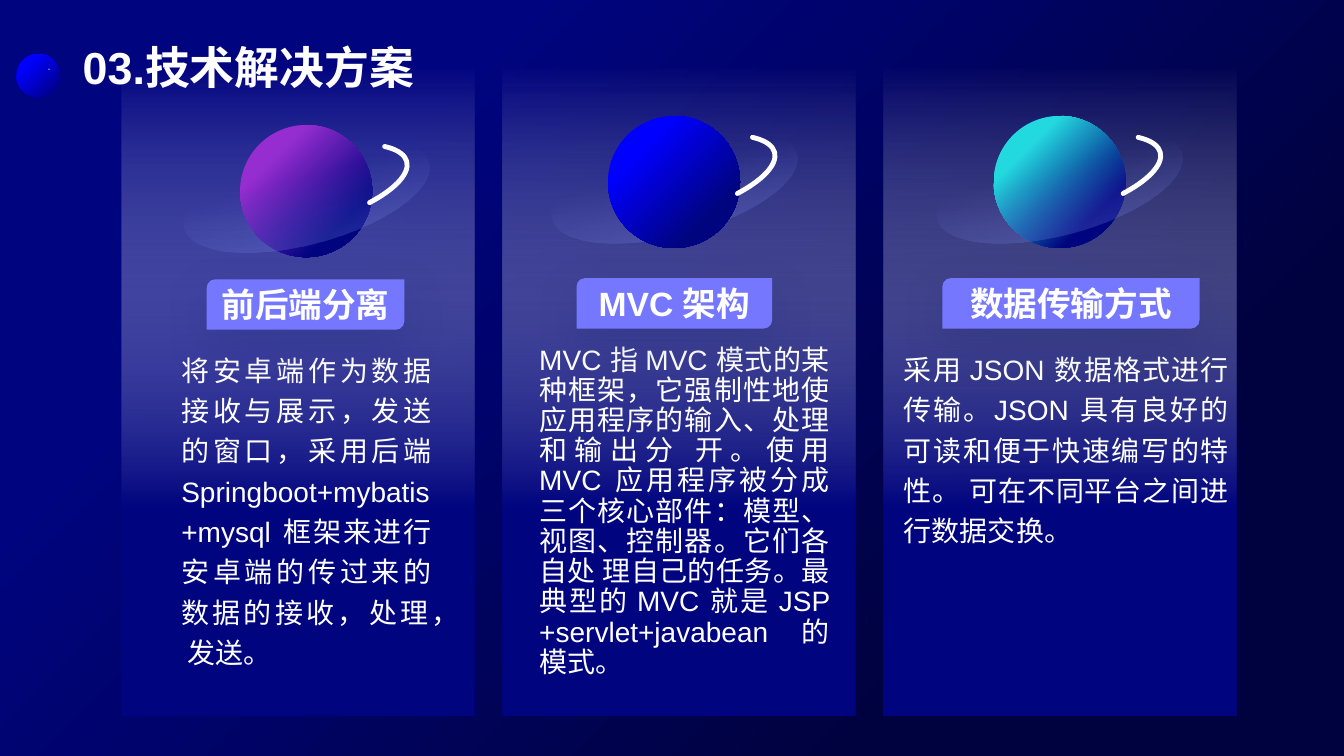
from dataclasses import dataclass

from lxml.etree import SubElement
from pptx import Presentation
from pptx.dml.color import RGBColor
from pptx.enum.shapes import MSO_SHAPE as Preset
from pptx.enum.text import MSO_ANCHOR as Anchor, PP_ALIGN as Align
from pptx.oxml.ns import qn
from pptx.util import Cm, Pt

WHITE = RGBColor(0xFF, 0xFF, 0xFF)
NAVY = RGBColor(0x00, 0x04, 0x7F)
MIDNIGHT = RGBColor(0x00, 0x02, 0x40)
BLUE = RGBColor(0x00, 0x00, 0xFF)
DEEP_BLUE = RGBColor(0x00, 0x00, 0x80)
PURPLE = RGBColor(0x95, 0x2D, 0xD0)
CYAN = RGBColor(0x23, 0xD9, 0xE0)
RING = RGBColor(0x76, 0x87, 0xE8)
STAR = RGBColor(0xD1, 0xD7, 0xF7)
TAG = RGBColor(0x75, 0x78, 0xFF)
SHADOW = RGBColor(0x11, 0x1E, 0x68)
FONT = "Arial"
PANEL_LEFT, PANEL_PITCH = 3.07, 9.6
TILT = 345.1


@dataclass
class Topic:
    heading: str
    body: str
    color: RGBColor
    planet: tuple
    tag: tuple
    text_box: tuple
    line_spacing: float = 1.2
    ring_in_front: bool = True


TOPICS = [
    Topic("前后端分离",
          "将安卓端作为数据接收与展示，发送的窗口，采用后端 Springboot+mybatis+mysql "
          "框架来进行安卓端的传过来的数据的接收，处理， 发送。",
          PURPLE, (6.05, 3.15), (5.21, 7.04, 4.98, 1.27), (4.32, 8.61, 6.81, 8.46)),
    Topic("MVC 架构",
          "MVC 指 MVC 模式的某种框架，它强制性地使应用程序的输入、处理和输出分 开。"
          "使用 MVC 应用程序被分成三个核心部件：模型、视图、控制器。它们各自处 理自己的任务。"
          "最典型的 MVC 就是 JSP +servlet+javabean 的模式。",
          BLUE, (15.32, 2.92), (14.53, 7.01, 4.93, 1.27), (13.34, 8.59, 7.82, 8.71),
          line_spacing=0.9, ring_in_front=False),
    Topic("数据传输方式",
          "采用 JSON 数据格式进行传输。JSON 具有良好的可读和便于快速编写的特性。 "
          "可在不同平台之间进行数据交换。",
          CYAN, (25.04, 2.92), (23.75, 7.01, 6.48, 1.27), (22.53, 8.59, 8.69, 5.38)),
]


def set_gradient(fill, stops, angle):
    """Fill with two (position, colour, opacity) stops at a clockwise angle."""
    fill.gradient()
    fill.gradient_angle = 360 - angle
    for stop, (position, color, opacity) in zip(fill.gradient_stops, stops):
        stop.position = position
        stop.color.rgb = color
    elements = fill._fill._gradFill.iter(qn("a:srgbClr"))
    for element, (_, _, opacity) in zip(elements, stops):
        if opacity < 100:
            SubElement(element, qn("a:alpha"), val=str(opacity * 1000))


def add_preset(slide, preset, left, top, width, height):
    """Add a plain shape without line or shadow."""
    shape = slide.shapes.add_shape(preset, Cm(left), Cm(top), Cm(width), Cm(height))
    shape.shadow.inherit = False
    shape.line.fill.background()
    return shape


def format_text(paragraph, size, bold=False):
    """Give the runs of a paragraph the slide's font."""
    for run in paragraph.runs:
        run.font.name = FONT
        run.font.size = Pt(size)
        run.font.bold = bold
        run.font.color.rgb = WHITE


def add_title(slide, text):
    """Place and format the title beside its small planet."""
    title = slide.shapes.title
    title.left, title.top, title.width, title.height = Cm(1.83), Cm(0.97), Cm(14.96), Cm(1.52)
    title.text_frame.text = text
    title.text_frame.vertical_anchor = Anchor.BOTTOM
    paragraph = title.text_frame.paragraphs[0]
    paragraph.alignment = Align.LEFT
    paragraph.line_spacing = 0.9
    format_text(paragraph, 32, bold=True)
    bullet = add_preset(slide, Preset.OVAL, 0.41, 1.35, 1.1, 1.1)
    set_gradient(bullet.fill, [(0.25, BLUE, 100), (0.95, DEEP_BLUE, 100)], 45)
    star = add_preset(slide, Preset.OVAL, 1.22, 1.73, 0.03, 0.03)
    star.fill.solid()
    star.fill.fore_color.rgb = STAR


def add_panel(slide, left):
    """Add a column panel that glows in its upper half."""
    panel = add_preset(slide, Preset.RECTANGLE, left, 1.7, 8.89, 16.33)
    set_gradient(panel.fill, [(0, WHITE, 0), (0.68, NAVY, 100)], 90)


def add_globe(slide, left, top, color):
    """Add the round body of a planet."""
    globe = add_preset(slide, Preset.OVAL, left, top, 3.33, 3.33)
    set_gradient(globe.fill, [(0.25, color, 100), (0.76, NAVY, 100)], 45)


def add_ring(slide, left, top):
    """Add the tilted translucent ring of the planet at this place."""
    ring = add_preset(slide, Preset.OVAL, left - 1.52, top + 0.56, 6.38, 2.44)
    ring.rotation = TILT
    set_gradient(ring.fill, [(0.42, RING, 0), (1, RING, 50)], 90)


def add_orbit(slide, left, top):
    """Add the bright arc of the planet at this place."""
    arc = add_preset(slide, Preset.ARC, left - 0.97, top + 0.68, 5.26, 1.83)
    arc.rotation = TILT
    arc.adjustments[0], arc.adjustments[1] = 208.17, 16.55
    arc.fill.background()
    arc.line.color.rgb = WHITE
    arc.line.width = Pt(3.5)
    arc.line._ln.set("cap", "rnd")


def add_planet(slide, topic):
    """Add a planet with its ring and orbit."""
    if not topic.ring_in_front:
        add_ring(slide, *topic.planet)
    add_globe(slide, *topic.planet, topic.color)
    if topic.ring_in_front:
        add_ring(slide, *topic.planet)
    add_orbit(slide, *topic.planet)


def add_tag(slide, topic):
    """Add the heading tag with its soft shadow."""
    tag = add_preset(slide, Preset.ROUND_2_DIAG_RECTANGLE, *topic.tag)
    tag.fill.solid()
    tag.fill.fore_color.rgb = TAG
    effects = tag._element.spPr.find(qn("a:effectLst"))
    shadow = SubElement(effects, qn("a:outerShdw"), blurRad=str(Pt(32)), dist=str(Pt(11)),
                        dir="5400000", algn="t", rotWithShape="0")
    color = SubElement(shadow, qn("a:srgbClr"), val=str(SHADOW))
    SubElement(color, qn("a:alpha"), val="17000")
    tag.text_frame.text = topic.heading
    tag.text_frame.vertical_anchor = Anchor.MIDDLE
    paragraph = tag.text_frame.paragraphs[0]
    paragraph.alignment = Align.CENTER
    format_text(paragraph, 24, bold=True)


def add_body(slide, topic):
    """Add the justified description of a topic."""
    box = slide.shapes.add_textbox(*map(Cm, topic.text_box))
    box.text_frame.word_wrap = True
    box.text_frame.text = topic.body
    paragraph = box.text_frame.paragraphs[0]
    paragraph.alignment = Align.JUSTIFY
    paragraph.line_spacing = topic.line_spacing
    format_text(paragraph, 20)


def main():
    """Build the slide and save it."""
    presentation = Presentation()
    presentation.slide_width, presentation.slide_height = Cm(33.87), Cm(19.05)
    slide = presentation.slides.add_slide(presentation.slide_layouts[5])
    set_gradient(slide.background.fill, [(0.25, NAVY, 100), (0.76, MIDNIGHT, 100)], 45)
    add_title(slide, "03.技术解决方案")
    for column, topic in enumerate(TOPICS):
        add_panel(slide, PANEL_LEFT + column * PANEL_PITCH)
        add_planet(slide, topic)
        add_body(slide, topic)
        add_tag(slide, topic)
    presentation.save("out.pptx")


if __name__ == "__main__":
    main()
